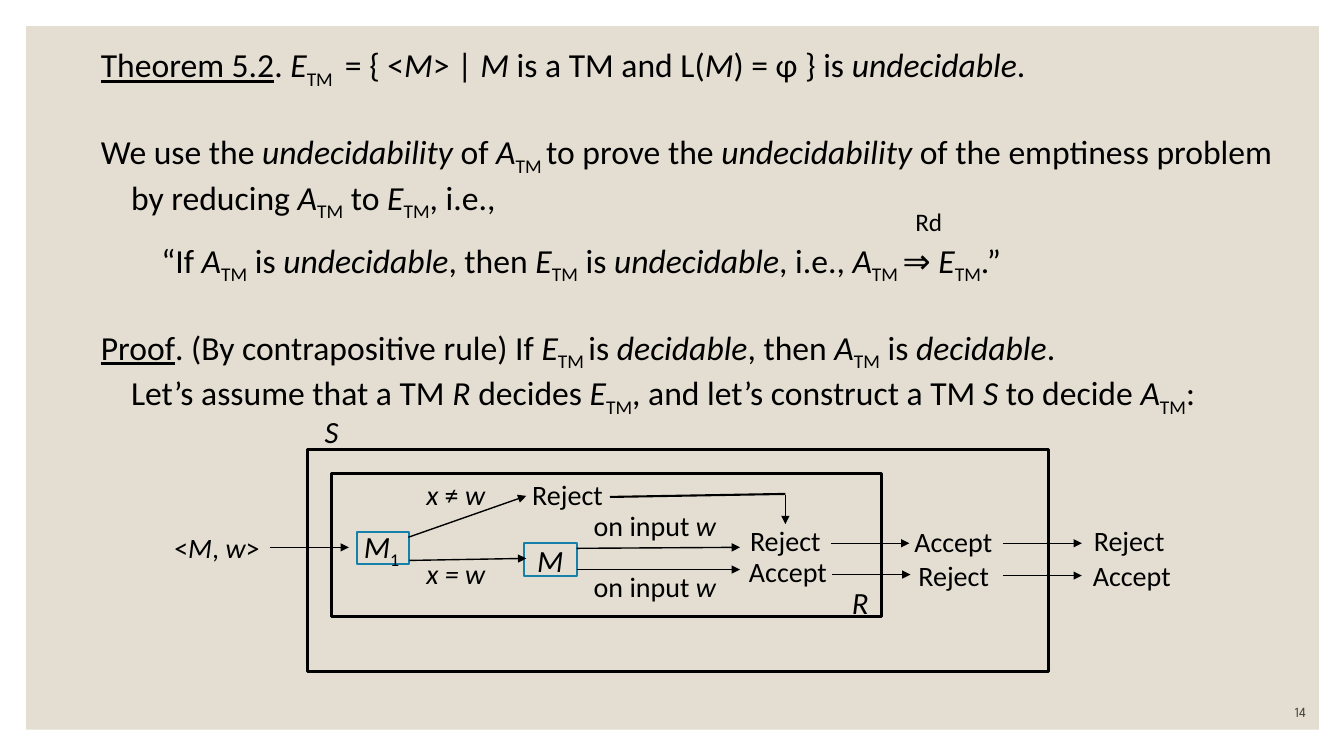
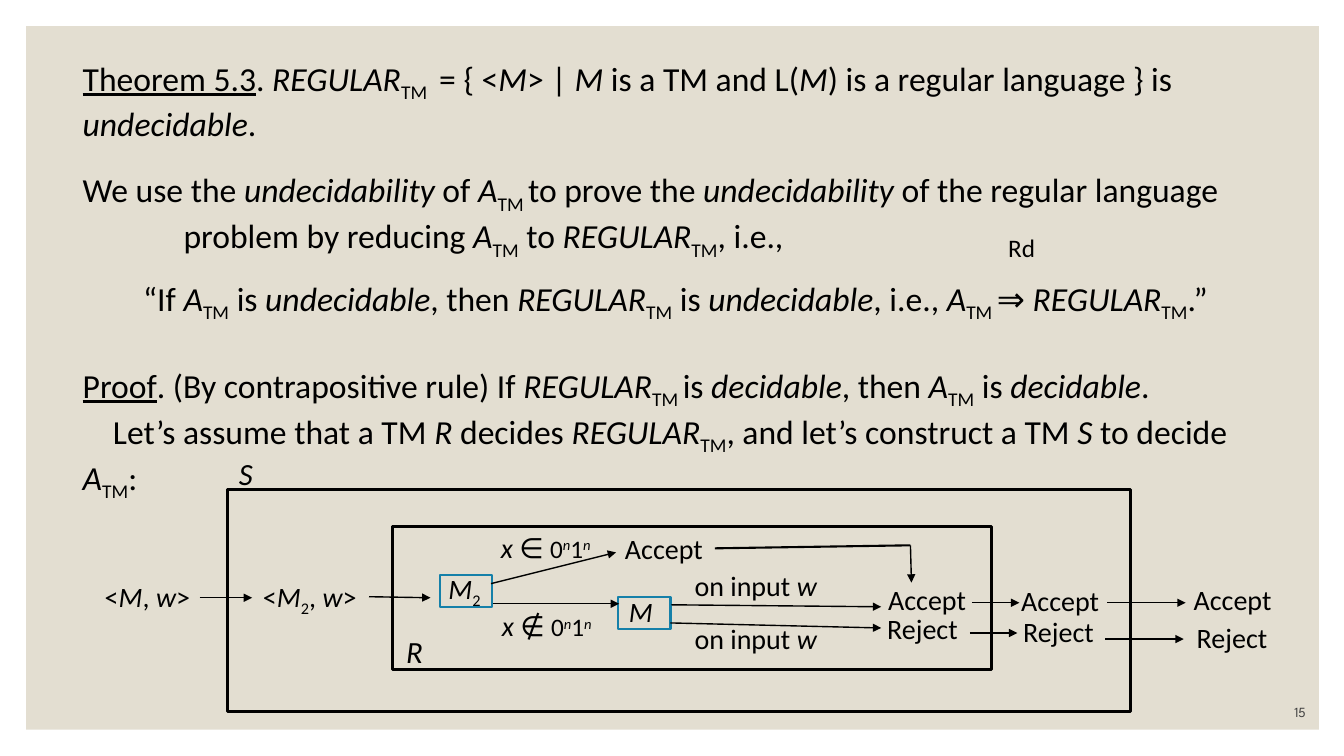
from dataclasses import dataclass
from typing import Any, NamedTuple

from lxml import etree
from pptx import Presentation
from pptx import util as u
from pptx.dml.color import RGBColor
from pptx.enum import shapes, text
from pptx.oxml.ns import qn


# Shared look
@dataclass(frozen=True)
class Theme:
    panel: RGBColor = RGBColor(0xE3, 0xDE, 0xD1)
    ink: RGBColor = RGBColor(0, 0, 0)
    machine: RGBColor = RGBColor(0x15, 0x80, 0xA9)
    number: RGBColor = RGBColor(0x40, 0x40, 0x40)
    font: str = "Calibri"
    number_font: str = "League Spartan"
    body_size: int = 24
    name_size: int = 22
    label_size: int = 20
    small_size: int = 18
    number_size: int = 10


THEME = Theme()

# Text marks: *italic* ~underline~ `small` _subscript_ ^superscript^
MARKS: dict[str, dict[str, Any]] = {
    "*": {"italic": True},
    "~": {"underline": True},
    "`": {"size": u.Pt(THEME.small_size)},
}
BASELINES = {"_": "-25000", "^": "30000"}


# Repeated elements, in inches and points
class Area(NamedTuple):
    left: float
    top: float
    width: float
    height: float


class Line(NamedTuple):
    text: str
    before: float = 0
    left: float = 0
    indent: float = 0


class Label(NamedTuple):
    text: str
    left: float
    top: float
    width: float
    size: int = THEME.label_size


class Box(NamedTuple):
    area: Area
    color: RGBColor = THEME.ink
    weight: float = 2.25


class Arrow(NamedTuple):
    x1: float
    y1: float
    x2: float
    y2: float
    head: bool = True


@dataclass(frozen=True)
class Page:
    number: str
    title: Line
    title_area: Area
    body: list[Line]
    body_area: Area
    boxes: list[Box]
    labels: list[Label]
    arrows: list[Arrow]


def machine(left: float, top: float) -> Box:
    return Box(Area(left, top, 0.52, 0.32), THEME.machine, 1.5)


def accept(left: float, top: float) -> Label:
    return Label("Accept", left, top, 0.98)


def reject(left: float, top: float) -> Label:
    return Label("Reject", left, top, 0.91)


def on_input(left: float, top: float) -> Label:
    return Label("on input *w*", left, top, 1.44)


def name(mark: str, left: float, top: float, width: float = 0.35) -> Label:
    return Label(mark, left, top, width, THEME.name_size)


# Drawing
def assign(target: Any, values: dict[str, Any]) -> None:
    for key, value in values.items():
        setattr(target, key, value)


def place(shape: Any, area: Area) -> None:
    assign(shape, {key: u.Inches(value) for key, value in area._asdict().items()})


def write(paragraph: Any, marked: str, size: int, color: RGBColor = THEME.ink,
          font: str = THEME.font) -> None:
    """Add runs to a paragraph, switching formats at each mark."""
    active: set[str] = set()
    piece = ""

    def flush() -> None:
        if not piece:
            return
        run = paragraph.add_run()
        run.text = piece
        assign(run.font, {"name": font, "size": u.Pt(size)})
        run.font.color.rgb = color
        for mark in active:
            assign(run.font, MARKS.get(mark, {}))
            if mark in BASELINES:
                run._r.get_or_add_rPr().set("baseline", BASELINES[mark])

    for letter in marked:
        if letter in MARKS or letter in BASELINES:
            flush()
            piece = ""
            active ^= {letter}
        else:
            piece += letter
    flush()


def fill_placeholder(shape: Any, area: Area, lines: list[Line]) -> None:
    place(shape, area)
    frame = shape.text_frame
    assign(frame, {"word_wrap": True, "auto_size": text.MSO_AUTO_SIZE.NONE,
                   "vertical_anchor": text.MSO_ANCHOR.TOP})
    for index, line in enumerate(lines):
        paragraph = frame.add_paragraph() if index else frame.paragraphs[0]
        assign(paragraph, {"alignment": text.PP_ALIGN.LEFT, "space_before": u.Pt(line.before)})
        properties = paragraph._p.get_or_add_pPr()
        properties.set("marL", str(u.Inches(line.left)))
        properties.set("indent", str(u.Inches(line.indent)))
        etree.SubElement(properties, qn("a:buNone"))
        write(paragraph, line.text, THEME.body_size)


def draw_box(slide: Any, box: Box) -> None:
    shape = slide.shapes.add_shape(shapes.MSO_SHAPE.RECTANGLE, *map(u.Inches, box.area))
    shape.shadow.inherit = False
    shape.fill.background()
    shape.line.color.rgb = box.color
    shape.line.width = u.Pt(box.weight)


def draw_label(slide: Any, label: Label) -> None:
    shape = slide.shapes.add_textbox(
        *map(u.Inches, (label.left, label.top, label.width, label.size * 0.022)))
    shape.text_frame.word_wrap = False
    write(shape.text_frame.paragraphs[0], label.text, label.size)


def draw_arrow(slide: Any, arrow: Arrow) -> None:
    connector = slide.shapes.add_connector(
        shapes.MSO_CONNECTOR.STRAIGHT, *map(u.Inches, arrow[:4]))
    connector.line.color.rgb = THEME.ink
    connector.line.width = u.Pt(1 if arrow.head else 1.5)
    properties = connector._element.spPr
    if arrow.head:
        etree.SubElement(properties.find(qn("a:ln")), qn("a:tailEnd"), type="triangle")
    etree.SubElement(properties, qn("a:effectLst"))


def draw_number(slide: Any, number: str) -> None:
    shape = slide.shapes.add_textbox(*map(u.Inches, (11.45, 6.9, 1.6, 0.3)))
    assign(shape.text_frame, {"word_wrap": True, "vertical_anchor": text.MSO_ANCHOR.BOTTOM})
    paragraph = shape.text_frame.paragraphs[0]
    paragraph.alignment = text.PP_ALIGN.RIGHT
    write(paragraph, number, THEME.number_size, THEME.number, THEME.number_font)


def add_master_panel(presentation: Any, slide: Any) -> None:
    """Make the panel on a slide, then hand it to the master."""
    panel = slide.shapes.add_shape(
        shapes.MSO_SHAPE.RECTANGLE, *map(u.Inches, (0.26, 0.26, 12.82, 6.98)))
    panel.shadow.inherit = False
    panel.fill.solid()
    panel.fill.fore_color.rgb = THEME.panel
    panel.line.fill.background()
    presentation.slide_master.shapes._spTree.insert(2, panel._element)


def draw_page(slide: Any, page: Page) -> None:
    title, body = slide.placeholders
    fill_placeholder(title, page.title_area, [page.title])
    fill_placeholder(body, page.body_area, page.body)
    for box in page.boxes:
        draw_box(slide, box)
    for label in page.labels:
        draw_label(slide, label)
    for arrow in page.arrows:
        draw_arrow(slide, arrow)
    draw_number(slide, page.number)


# Sentences both proofs share, for a given language
def claim(language: str) -> Line:
    return Line(f"“If *A*_TM_ is *undecidable*, then *{language}*_TM_ is *undecidable*, "
                f"i.e., *A*_TM _⇒ *{language}*_TM_.”", before=12, left=0.6)


def proof(language: str) -> Line:
    return Line(f"~Proof~. (By contrapositive rule) If *{language}*_TM _is *decidable*, "
                "then *A*_TM_ is *decidable*.", before=29.3)


def strategy(language: str, problem: str, hanging: float) -> Line:
    return Line("We use the *undecidability* of *A*_TM _to prove the *undecidability* of the "
                f"{problem} problem by reducing *A*_TM_ to *{language}*_TM_, i.e.,",
                left=hanging, indent=-hanging)


def assumption(language: str) -> Line:
    return Line(f"Let’s assume that a TM *R* decides *{language}*_TM_, and let’s construct "
                "a TM *S* to decide *A*_TM_:", indent=0.3)


def argument(language: str, problem: str, hanging: float) -> list[Line]:
    return [strategy(language, problem, hanging), claim(language),
            proof(language), assumption(language)]


# Contents
PAGES = [
    Page(
        "14",
        Line("~Theorem 5.2~. *E*_TM _ = { <*M*> | *M* is a TM and L(*M*) = φ } "
             "is *undecidable*."),
        Area(0.9, 0.39, 11.9, 0.56),
        argument("E", "emptiness", 0.3),
        Area(0.9, 1.25, 11.9, 2.8),
        [Box(Area(3.05, 4.46, 7.35, 2.2)), Box(Area(3.29, 4.7, 5.45, 1.42)),
         machine(3.54, 5.28), machine(5.2, 5.39)],
        [Label("Rd", 8.98, 2, 0.52, THEME.small_size),
         name("*S*", 3.12, 4.05), name("*R*", 8.35, 5.74),
         name("*M*_1_", 3.51, 5.19, 0.57), name("*M*", 5.23, 5.32, 0.46),
         Label("<*M*, *w*>", 1.63, 5.21, 1.05),
         Label("*x* ≠ *w*", 4.13, 4.69, 0.84), Label("*x = w*", 4.13, 5.47, 0.83),
         on_input(5.79, 5), on_input(5.79, 5.6),
         reject(5.18, 4.69), reject(7.34, 5.14), accept(7.33, 5.45),
         accept(8.97, 5.15), reject(9.01, 5.49),
         reject(10.75, 5.14), accept(10.74, 5.49)],
        [Arrow(2.68, 5.43, 3.46, 5.43), Arrow(4.05, 5.33, 5.22, 4.92),
         Arrow(4.06, 5.56, 5.22, 5.54), Arrow(6.05, 4.93, 7.79, 4.9, head=False),
         Arrow(7.79, 4.91, 7.79, 5.2), Arrow(5.72, 5.44, 7.34, 5.43),
         Arrow(5.72, 5.65, 7.34, 5.65), Arrow(8.24, 5.39, 9.02, 5.39),
         Arrow(8.25, 5.7, 9.03, 5.7), Arrow(9.95, 5.39, 10.73, 5.39),
         Arrow(9.95, 5.71, 10.73, 5.71)],
    ),
    Page(
        "15",
        Line("~Theorem 5.3~. *REGULAR*_TM _ = { <*M*> | *M* is a TM and L(*M*) "
             "is a regular language } is *undecidable*."),
        Area(0.72, 0.52, 11.9, 0.96),
        argument("REGULAR", "regular language", 1),
        Area(0.72, 1.63, 11.9, 3.2),
        [Box(Area(2.26, 4.86, 8.95, 2.2)), Box(Area(3.89, 5.22, 5.94, 1.42)),
         machine(4.36, 5.7), machine(6.13, 5.92)],
        [Label("Rd", 9.9, 2.26, 0.52, THEME.small_size),
         name("*S*", 2.27, 4.46), name("*R*", 3.93, 6.23),
         Label("*M*_2_", 4.35, 5.62, 0.54), Label("*M*", 6.14, 5.85, 0.44),
         Label("<*M*, *w*>", 0.94, 5.7, 1.05), Label("<*M*_2_, *w*>", 2.51, 5.7, 1.18),
         Label("*x* ∈ `0^*n*^1^*n*^`", 4.87, 5.21, 1.14),
         Label("*x* ∉ `0^*n*^1^*n*^`", 4.88, 5.99, 1.14),
         on_input(6.79, 5.59), on_input(6.79, 6.12),
         accept(6.1, 5.22), accept(8.71, 5.73), reject(8.7, 6.02),
         accept(10.03, 5.74), reject(10.05, 6.05),
         accept(11.74, 5.73), reject(11.77, 6.11)],
        [Arrow(1.98, 5.93, 2.5, 5.93), Arrow(3.66, 5.92, 4.27, 5.93),
         Arrow(4.87, 5.79, 6.11, 5.48), Arrow(4.89, 5.99, 6.14, 5.99),
         Arrow(7.09, 5.44, 9.03, 5.41, head=False), Arrow(9.03, 5.41, 9.04, 5.78),
         Arrow(6.66, 6, 8.74, 6.02), Arrow(6.65, 6.18, 8.74, 6.23),
         Arrow(9.64, 5.98, 10.11, 5.98), Arrow(9.62, 6.28, 10.09, 6.28),
         Arrow(10.98, 5.98, 11.76, 5.98), Arrow(10.96, 6.34, 11.74, 6.34)],
    ),
]


def main() -> None:
    presentation = Presentation()
    assign(presentation, {"slide_width": u.Inches(13.33), "slide_height": u.Inches(7.5)})
    slides = [presentation.slides.add_slide(presentation.slide_layouts[1]) for _ in PAGES]
    add_master_panel(presentation, slides[0])
    for slide, page in zip(slides, PAGES):
        draw_page(slide, page)
    presentation.save("out.pptx")


if __name__ == "__main__":
    main()
